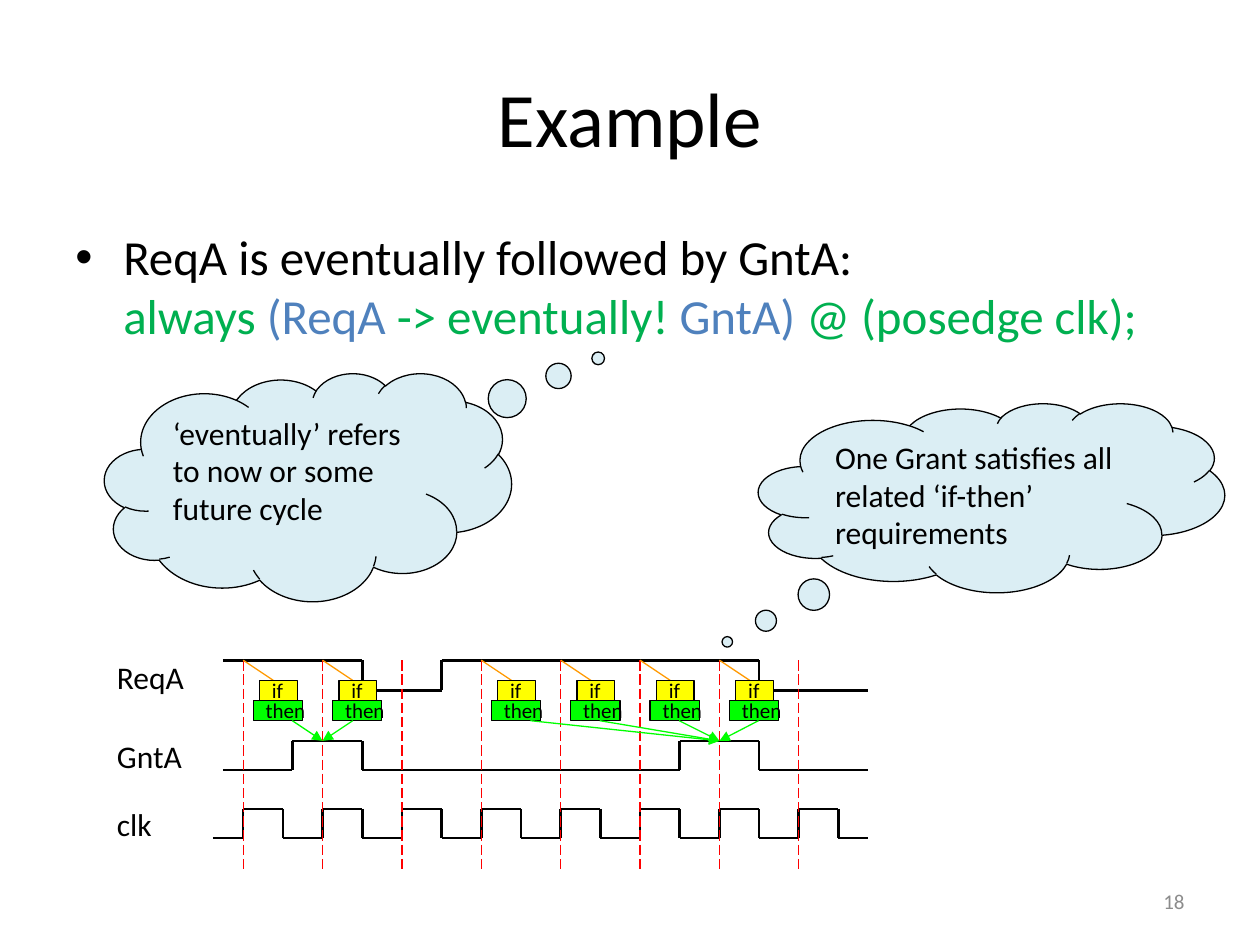
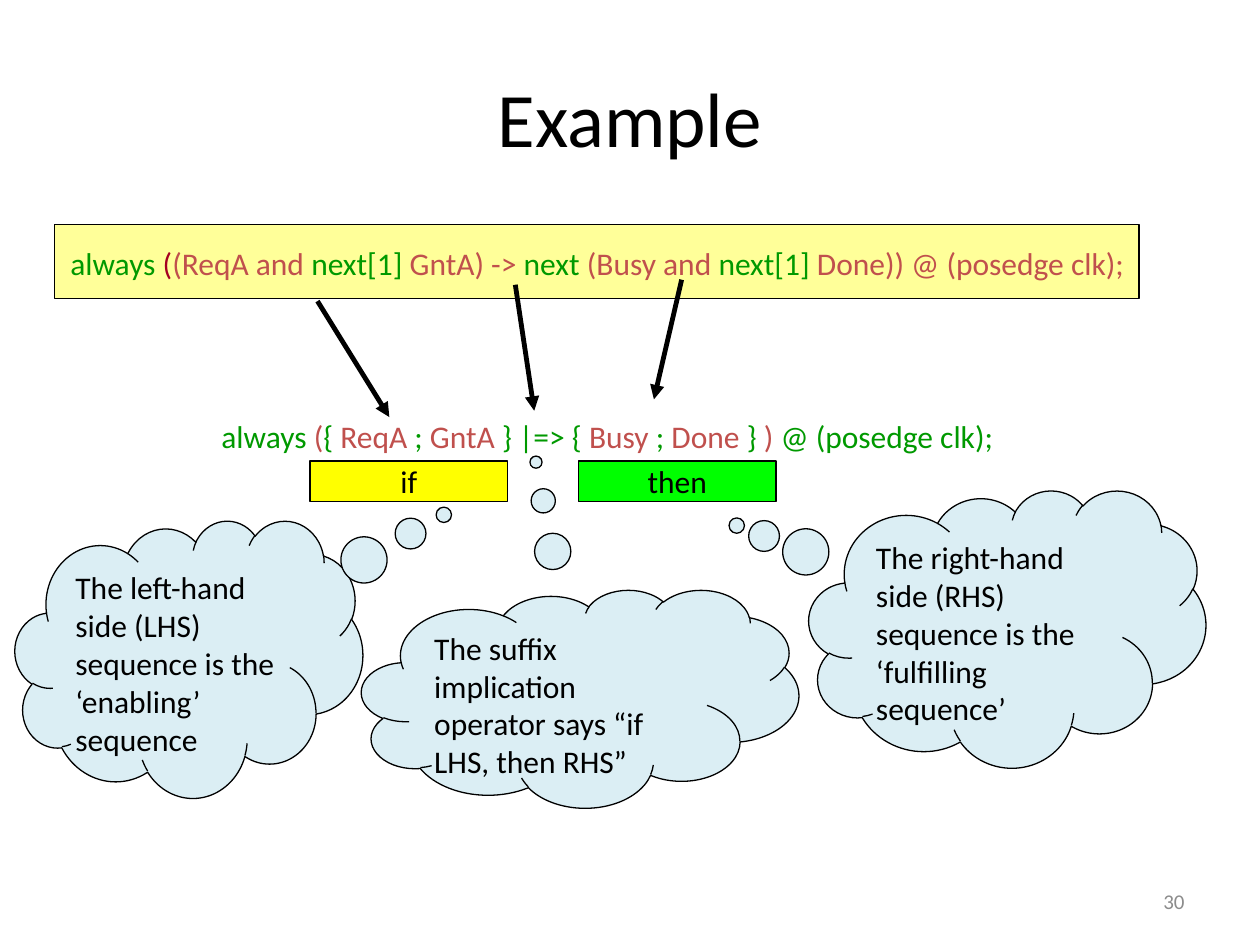
from dataclasses import dataclass
from itertools import pairwise
from typing import NamedTuple

from lxml import etree
from pptx import Presentation
from pptx.dml.color import RGBColor
from pptx.enum import dml, shapes, text
from pptx.oxml import ns
from pptx.util import Inches, Pt


@dataclass(frozen=True)
class Theme:
    font: str = "Calibri"
    title_size: int = 44
    body_size: int = 28
    note_size: int = 18
    small_size: int = 12
    ink: str = "000000"
    muted: str = "8C8C8C"
    cloud: str = "DBEEF4"
    banner: str = "FFFF99"
    if_fill: str = "FFFF00"
    then_fill: str = "00FF00"
    keyword: str = "00B050"
    signal: str = "4F81BD"
    dark_keyword: str = "009900"
    dark_signal: str = "C0504D"
    bracket: str = "A50021"
    clock_edge: str = "FF0000"
    trigger: str = "FF9900"
    thin: float = 0.75
    wave: float = 1.5
    bold: float = 2.75


THEME = Theme()
LEFT, CENTER, RIGHT = text.PP_ALIGN.LEFT, text.PP_ALIGN.CENTER, text.PP_ALIGN.RIGHT
TOP, MIDDLE = text.MSO_ANCHOR.TOP, text.MSO_ANCHOR.MIDDLE


class Area(NamedTuple):
    left: float
    top: float
    width: float
    height: float


class Point(NamedTuple):
    x: float
    y: float


class Span(NamedTuple):
    text: str
    color: str = THEME.ink


class Cloud(NamedTuple):
    area: Area
    pointer: tuple[float, float]
    words: str


class Check(NamedTuple):
    """An if-then pair: its clock tick, the tick that grants it, the arrow's offset."""
    tick: int
    grant: int
    arrow_offset: float


class Wave(NamedTuple):
    label: str
    label_top: float
    points: list[Point]


def write(shape, spans: list[Span], *, size: int = THEME.note_size, align=LEFT,
          anchor=TOP, wrap: bool = True, bullet: bool = False) -> None:
    frame = shape.text_frame
    frame.word_wrap = wrap
    frame.vertical_anchor = anchor
    para = frame.paragraphs[0]
    para.alignment = align
    for item in spans:
        span = para.add_run()
        span.text = item.text.rstrip("\n")
        span.font.name = THEME.font
        span.font.size = Pt(size)
        span.font.color.rgb = RGBColor.from_string(item.color)
        if item.text.endswith("\n"):
            para.add_line_break()
    if bullet:
        props = para._p.get_or_add_pPr()
        props.set("marL", str(Inches(0.38)))
        props.set("indent", str(-Inches(0.38)))
        etree.SubElement(props, ns.qn("a:buFont")).set("typeface", "Arial")
        etree.SubElement(props, ns.qn("a:buChar")).set("char", "•")


def add_text(page, area: Area, spans: list[Span], **style) -> None:
    box = page.shapes.add_textbox(*map(Inches, area))
    write(box, spans, **style)


def add_filled(page, kind, area: Area, fill: str):
    shape = page.shapes.add_shape(kind, *map(Inches, area))
    shape.shadow.inherit = False
    shape.fill.solid()
    shape.fill.fore_color.rgb = RGBColor.from_string(fill)
    shape.line.color.rgb = RGBColor.from_string(THEME.ink)
    shape.line.width = Pt(THEME.thin)
    return shape


def add_tag(page, area: Area, word: str, fill: str, **style) -> None:
    tag = add_filled(page, shapes.MSO_SHAPE.RECTANGLE, area, fill)
    write(tag, [Span(word)], anchor=MIDDLE, wrap=False, **style)


def add_cloud(page, cloud: Cloud) -> None:
    shape = add_filled(page, shapes.MSO_SHAPE.CLOUD_CALLOUT, cloud.area, THEME.cloud)
    for index, value in enumerate(cloud.pointer):
        shape.adjustments[index] = value
    write(shape, [Span(cloud.words)])


def add_line(page, start: Point, end: Point, *, color: str = THEME.ink,
             width: float = THEME.thin, dashed: bool = False, arrow: bool = False) -> None:
    line = page.shapes.add_connector(shapes.MSO_CONNECTOR.STRAIGHT,
                                     *map(Inches, (*start, *end)))
    line.line.color.rgb = RGBColor.from_string(color)
    line.line.width = Pt(width)
    if dashed:
        line.line.dash_style = dml.MSO_LINE.LONG_DASH
    if arrow:
        outline = line.line._get_or_add_ln()
        etree.SubElement(outline, ns.qn("a:tailEnd")).set("type", "triangle")
    etree.SubElement(line._element.spPr, ns.qn("a:effectLst"))


def add_page(deck, number: int):
    page = deck.slides.add_slide(deck.slide_layouts[6])
    add_text(page, Area(0.5, 0.3, 9, 1.25), [Span("Example")],
             size=THEME.title_size, align=CENTER, anchor=MIDDLE)
    add_text(page, Area(7.17, 6.95, 2.33, 0.4), [Span(str(number), THEME.muted)],
             size=THEME.small_size, align=RIGHT, anchor=MIDDLE)
    return page


TICKS = 8
PERIOD = 0.63
WAVE_END = 6.89
REQ_HIGH, REQ_LOW = 5.24, 5.48
GNT_HIGH, GNT_LOW = 5.88, 6.11
CLK_HIGH, CLK_LOW = 6.42, 6.65


def tick_x(tick: float) -> float:
    return 1.93 + PERIOD * tick


def square_wave(start: float, edges: list[float], first: float, second: float) -> list[Point]:
    """Corners of a signal that begins at level first and toggles at every edge."""
    points = [Point(start, first)]
    for index, x in enumerate(edges):
        levels = (first, second) if index % 2 == 0 else (second, first)
        points += [Point(x, level) for level in levels]
    return points + [Point(WAVE_END, points[-1].y)]


WAVES = [
    Wave("ReqA", 5.17, square_wave(1.77, [tick_x(t) for t in (1.5, 2.5, 6.5)],
                                   REQ_HIGH, REQ_LOW)),
    Wave("GntA", 5.8, square_wave(1.77, [2.32] + [tick_x(t) for t in (1.5, 5.5, 6.5)],
                                  GNT_LOW, GNT_HIGH)),
    Wave("clk", 6.34, square_wave(1.69, [tick_x(t / 2) for t in range(2 * TICKS)],
                                  CLK_LOW, CLK_HIGH)),
]
CHECKS = [Check(0, 1, 0.39), Check(1, 1, 0.24), Check(3, 6, 0.39),
          Check(4, 6, 0.31), Check(5, 6, 0.31), Check(6, 6, 0.31)]


def add_check(page, check: Check) -> None:
    x = tick_x(check.tick)
    if_top, then_top, then_bottom = 5.4, 5.56, 5.72
    add_line(page, Point(x, REQ_HIGH), Point(x + 0.24, if_top), color=THEME.trigger)
    add_tag(page, Area(x + 0.13, if_top, 0.3, 0.16), "if", THEME.if_fill,
            size=THEME.small_size)
    add_tag(page, Area(x + 0.08, then_top, 0.39, 0.16), "then", THEME.then_fill,
            size=THEME.small_size)
    add_line(page, Point(x + check.arrow_offset, then_bottom),
             Point(tick_x(check.grant), GNT_HIGH), color=THEME.then_fill, arrow=True)


def build_timing_page(deck) -> None:
    page = add_page(deck, 18)
    add_text(page, Area(0.5, 1.75, 9.38, 4.95), [
        Span("ReqA is eventually followed by GntA:\n"),
        Span("always ", THEME.keyword), Span("(ReqA ", THEME.signal),
        Span("-> eventually! ", THEME.keyword), Span("GntA) ", THEME.signal),
        Span("@ (posedge clk);", THEME.keyword),
    ], size=THEME.body_size, bullet=True)
    for cloud in (
        Cloud(Area(6.02, 3.2, 3.7, 1.5), (-0.567, 0.763),
              "One Grant satisfies all related ‘if-then’ requirements"),
        Cloud(Area(0.83, 2.96, 3.23, 1.81), (0.713, -0.564),
              "‘eventually’ refers to now or some future cycle"),
    ):
        add_cloud(page, cloud)
    for wave in WAVES:
        add_text(page, Area(0.83, wave.label_top, 0.83, 0.4), [Span(wave.label)], wrap=False)
        for start, end in pairwise(wave.points):
            add_line(page, start, end, width=THEME.wave)
    for tick in range(TICKS):
        add_line(page, Point(tick_x(tick), REQ_HIGH), Point(tick_x(tick), 6.9),
                 color=THEME.clock_edge, dashed=True)
    for check in CHECKS:
        add_check(page, check)


def alternate(parts: list[str], *colors: str) -> list[Span]:
    return [Span(part, colors[i % len(colors)]) for i, part in enumerate(parts)]


def build_suffix_page(deck) -> None:
    page = add_page(deck, 30)
    green, red = THEME.dark_keyword, THEME.dark_signal
    add_filled(page, shapes.MSO_SHAPE.RECTANGLE, Area(0.43, 1.78, 8.61, 0.59), THEME.banner)
    for cloud in (
        Cloud(Area(6.42, 3.89, 3.15, 2.2), (-0.682, -0.372),
              "The right-hand side (RHS) sequence is the ‘fulfilling sequence’"),
        Cloud(Area(0.12, 4.13, 2.76, 2.2), (0.733, -0.52),
              "The left-hand side (LHS) sequence is the ‘enabling’ sequence"),
    ):
        add_cloud(page, cloud)
    add_text(page, Area(0.46, 1.89, 9.3, 0.4), [
        Span("always ", green), Span("(", THEME.bracket),
        *alternate(["(ReqA and ", "next[1] ", "GntA) -> ", "next ", "(Busy and ",
                    "next[1] ", "Done)) @ (posedge clk);"], red, green),
    ])
    add_text(page, Area(-0.08, 3.26, 9.8, 0.4), alternate(
        ["always ", "(", "{ ", "ReqA ", "; ", "GntA ", "} |=> { ", "Busy ", "; ",
         "Done ", "}", " ) ", "@ (posedge clk);"], green, red), align=CENTER)
    for left, word, fill in ((2.46, "if", THEME.if_fill), (4.59, "then", THEME.then_fill)):
        add_tag(page, Area(left, 3.66, 1.57, 0.32), word, fill, align=CENTER)
    for start, end in ((Point(2.52, 2.39), Point(3.09, 3.31)),
                       (Point(4.09, 2.26), Point(4.24, 3.26)),
                       (Point(5.41, 2.22), Point(5.19, 3.17))):
        add_line(page, start, end, width=THEME.bold, arrow=True)
    add_cloud(page, Cloud(Area(2.87, 4.68, 3.47, 1.73), (-0.101, -1.085),
                          "The suffix implication operator says “if LHS, then RHS”"))


def main() -> None:
    deck = Presentation()
    deck.slide_width, deck.slide_height = Inches(10), Inches(7.5)
    build_timing_page(deck)
    build_suffix_page(deck)
    deck.save("out.pptx")


if __name__ == "__main__":
    main()
